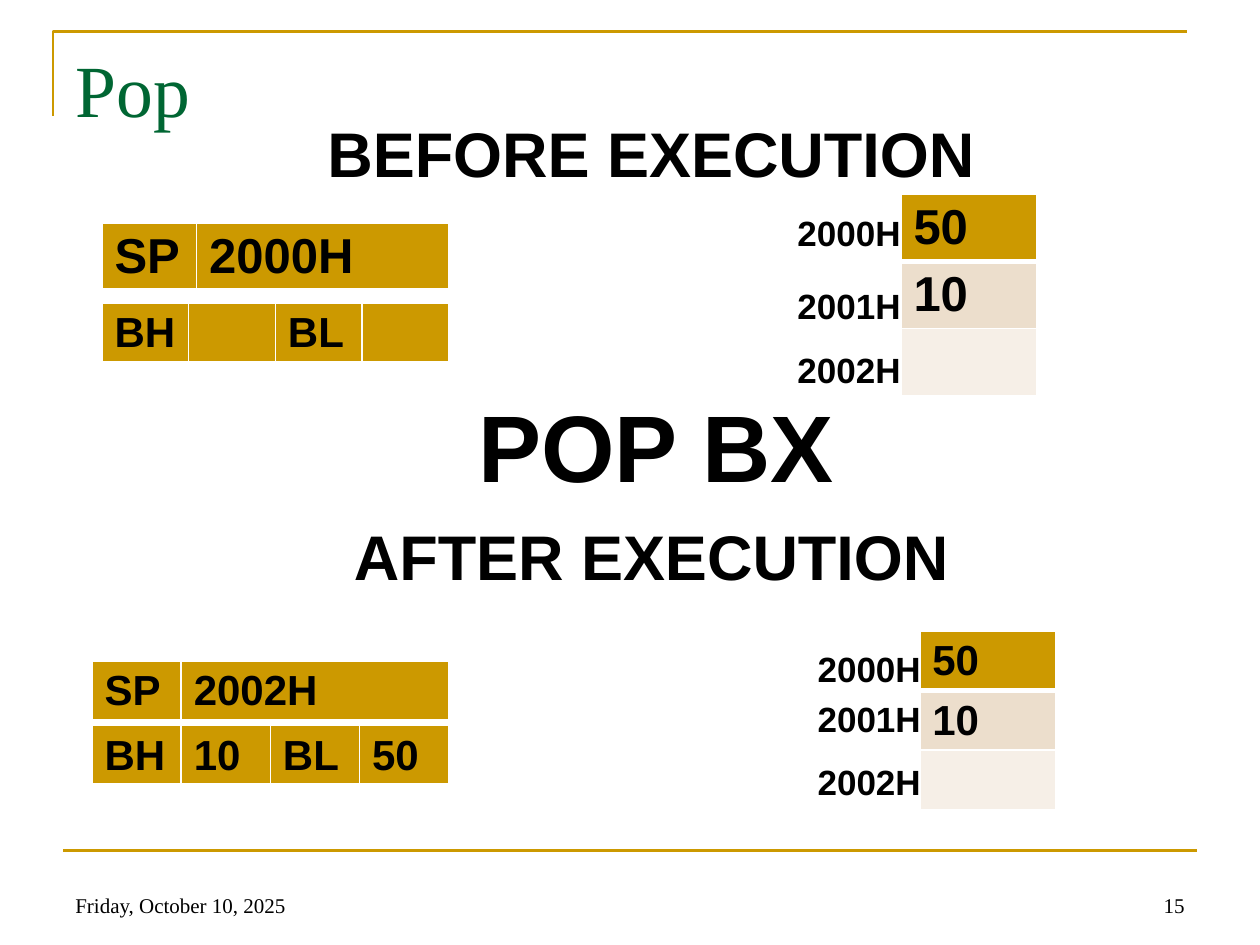
from dataclasses import dataclass

from lxml import etree
from pptx import Presentation, util as u
from pptx.dml.color import RGBColor
from pptx.enum import shapes, text
from pptx.oxml.ns import qn

UNIT = 0.1  # inches; the slide is a grid of 100 columns by 75 rows


@dataclass(frozen=True)
class Theme:
    gold: str = "CC9900"
    tan: str = "ECDECC"
    cream: str = "F6EFE7"
    green: str = "006633"
    black: str = "000000"
    white: str = "FFFFFF"
    serif: str = "Times New Roman"
    sans: str = "Arial"
    title: float = 42
    command: float = 54
    heading: float = 36
    address: float = 20
    footer: float = 12
    rule: float = 1.5
    border: float = 1
    header_border: float = 3


@dataclass(frozen=True)
class Area:
    column: float
    row: float
    columns: float
    rows: float

    def lengths(self) -> tuple:
        return tuple(grid(n) for n in (self.column, self.row, self.columns, self.rows))


@dataclass(frozen=True)
class Label:
    words: str
    area: Area
    size: float
    font: str
    bold: bool = True
    align: text.PP_ALIGN = text.PP_ALIGN.LEFT
    anchor: text.MSO_ANCHOR = text.MSO_ANCHOR.TOP


@dataclass(frozen=True)
class CellTable:
    column: float
    row: float
    widths: tuple
    height: float
    size: float
    cells: tuple


THEME = Theme()
ROW_FILLS = (THEME.gold, THEME.tan, THEME.cream)


def grid(count: float) -> u.Length:
    return u.Inches(count * UNIT)


def colour(code: str) -> RGBColor:
    return RGBColor.from_string(code)


def style(para, size: float, font: str, code: str, bold: bool) -> None:
    para.font.size = u.Pt(size)
    para.font.name = font
    para.font.bold = bold
    para.font.color.rgb = colour(code)


def draw_label(page, label: Label) -> None:
    frame = page.shapes.add_textbox(*label.area.lengths()).text_frame
    frame.word_wrap = True
    frame.vertical_anchor = label.anchor
    para = frame.paragraphs[0]
    para.text = label.words
    para.alignment = label.align
    style(para, label.size, label.font, THEME.black, label.bold)


def draw_border(cell, side: str, width: float) -> None:
    line = etree.SubElement(cell._tc.get_or_add_tcPr(), qn(f"a:ln{side}"), w=str(u.Pt(width)))
    fill = etree.SubElement(line, qn("a:solidFill"))
    etree.SubElement(fill, qn("a:srgbClr"), val=THEME.white)


def draw_table(page, spec_table: CellTable) -> None:
    rows = spec_table.cells
    area = Area(spec_table.column, spec_table.row, sum(spec_table.widths), spec_table.height * len(rows))
    table = page.shapes.add_table(len(rows), len(spec_table.widths), *area.lengths()).table
    table.first_row = table.horz_banding = False
    for column, width in zip(table.columns, spec_table.widths):
        column.width = grid(width)
    for r, (words_row, fill) in enumerate(zip(rows, ROW_FILLS)):
        table.rows[r].height = grid(spec_table.height)
        for c, words in enumerate(words_row):
            cell = table.cell(r, c)
            thick = {(0, "B"), (1, "T")}
            for side in "LRTB":
                draw_border(cell, side, THEME.header_border if (r, side) in thick else THEME.border)
            cell.fill.solid()
            cell.fill.fore_color.rgb = colour(fill)
            para = cell.text_frame.paragraphs[0]
            para.text = words
            style(para, spec_table.size, THEME.sans, THEME.black, True)


def draw_rules(page) -> None:
    builder = page.shapes.build_freeform(grid(4.2), grid(9.2))
    builder.add_line_segments([(grid(4.2), grid(2.5)), (grid(94.2), grid(2.5))], close=False)
    corner = builder.convert_to_shape()
    corner.shadow.inherit = False
    corner.fill.background()
    base = page.shapes.add_connector(
        shapes.MSO_CONNECTOR.STRAIGHT, grid(5), grid(67.5), grid(95), grid(67.5))
    etree.SubElement(base._element.spPr, qn("a:effectLst"))
    for rule in (corner, base):
        rule.line.color.rgb = colour(THEME.gold)
        rule.line.width = u.Pt(THEME.rule)


def draw_title(page, words: str) -> None:
    title = page.shapes.title
    title.left, title.top, title.width, title.height = Area(5, 3, 95, 12.5).lengths()
    title.text_frame.vertical_anchor = text.MSO_ANCHOR.TOP
    para = title.text_frame.paragraphs[0]
    para.text = words
    para.alignment = text.PP_ALIGN.LEFT
    style(para, THEME.title, THEME.serif, THEME.green, False)


TABLES = (
    CellTable(8.1, 24.1, (6.88,) * 4, 4.6, 24, (("BH", "", "BL", ""),)),
    CellTable(7.3, 57.6, (7.08,) * 4, 4.6, 24, (("BH", "10", "BL", "50"),)),
    CellTable(8.1, 17.7, (7.5, 20), 5.3, 28, (("SP", "2000H"),)),
    CellTable(7.3, 52.5, (7.08, 21.25), 4.6, 24, (("SP", "2002H"),)),
    CellTable(71.5, 15.4, (10.8,), 5.3, 28, (("50",), ("10",), ("",))),
    CellTable(73, 50.1, (10.8,), 4.6, 24, (("50",), ("10",), ("",))),
)
HEADINGS = (
    Label("BEFORE EXECUTION", Area(25, 8.6, 55, 7.1), THEME.heading, THEME.sans),
    Label("AFTER EXECUTION", Area(27.1, 40.6, 50.8, 7.1), THEME.heading, THEME.sans),
    Label("POP BX", Area(37, 30.3, 31.1, 10.1), THEME.command, THEME.sans),
)
ADDRESSES = ("2000H", "2001H", "2002H")
ADDRESS_PLACES = ((62.3, (16.3, 22.1, 27.2)), (63.9, (50.9, 54.9, 59.9)))
FOOTERS = (
    Label("15", Area(71.7, 68.3, 23.3, 5), THEME.footer, THEME.serif, False,
          text.PP_ALIGN.RIGHT, text.MSO_ANCHOR.BOTTOM),
    Label("Friday, October 10, 2025", Area(5, 68.3, 23.3, 5), THEME.footer, THEME.serif, False,
          anchor=text.MSO_ANCHOR.BOTTOM),
)


def main() -> None:
    deck = Presentation()
    deck.slide_width, deck.slide_height = grid(100), grid(75)
    page = deck.slides.add_slide(deck.slide_layouts.get_by_name("Title Only"))
    draw_rules(page)
    draw_title(page, "Pop")
    for table in TABLES:
        draw_table(page, table)
    for label in FOOTERS + HEADINGS:
        draw_label(page, label)
    for column, rows in ADDRESS_PLACES:
        for address, row in zip(ADDRESSES, rows):
            draw_label(page, Label(address, Area(column, row, 12.5, 4.4), THEME.address, THEME.sans))
    deck.save("out.pptx")


if __name__ == "__main__":
    main()
